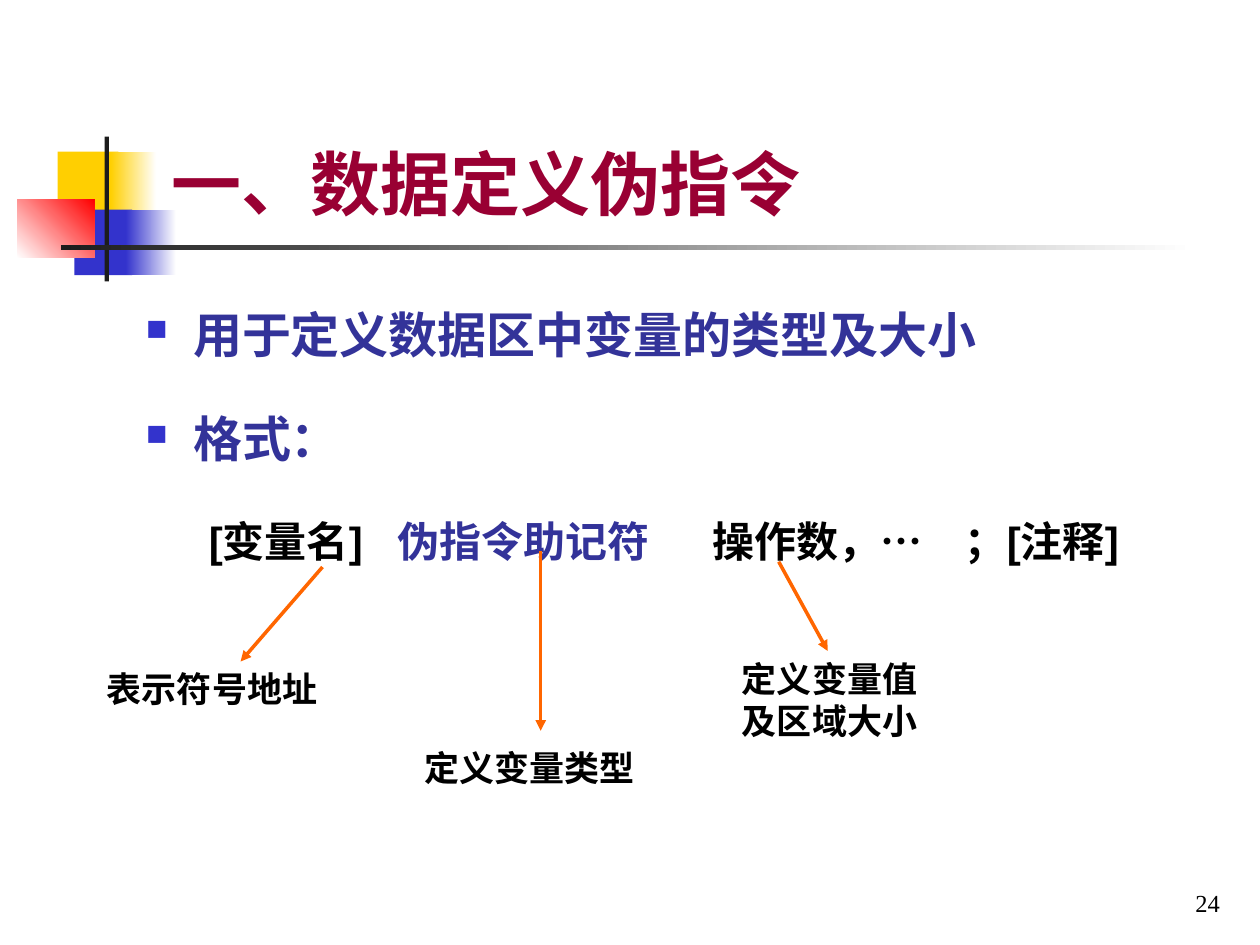
from lxml.etree import SubElement
from pptx import Presentation
from pptx.dml.color import RGBColor
from pptx.enum.shapes import MSO_CONNECTOR, MSO_SHAPE
from pptx.enum.text import MSO_ANCHOR, PP_ALIGN
from pptx.oxml.ns import qn
from pptx.util import Pt

HUES = {
    "gold": "FFCF01", "blue": "3333CC", "red": "FF0000", "dark": "1C1C1C",
    "white": "FFFFFF", "wine": "990033", "navy": "333399",
    "black": "000000", "flame": "FF6600",
}


def hue(name):
    return RGBColor.from_string(HUES[name])


def add_bar(slide, left, top, width, height, start, end=None, angle=0):
    bar = slide.shapes.add_shape(
        MSO_SHAPE.RECTANGLE, Pt(left), Pt(top), Pt(width), Pt(height))
    bar.shadow.inherit = False
    bar.line.fill.background()
    if end:
        bar.fill.gradient()
        bar.fill.gradient_angle = angle
        for stop, name in zip(bar.fill.gradient_stops, (start, end)):
            stop.color.rgb = hue(name)
    else:
        bar.fill.solid()
        bar.fill.fore_color.rgb = hue(start)


def add_box(slide, left, top, width, height, anchor=MSO_ANCHOR.TOP):
    box = slide.shapes.add_textbox(Pt(left), Pt(top), Pt(width), Pt(height))
    frame = box.text_frame
    frame.word_wrap = True
    frame.vertical_anchor = anchor
    return frame


def add_run(para, text, size, color, font="Arial", bold=True):
    run = para.add_run()
    run.text = text
    run.font.size = Pt(size)
    run.font.name = font
    run.font.bold = bold
    run.font.color.rgb = hue(color)


def add_bullet(para):
    props = para._p.get_or_add_pPr()
    props.set("marL", str(Pt(27)))
    props.set("indent", str(-Pt(27)))
    tint = SubElement(props, qn("a:buClr"))
    SubElement(tint, qn("a:srgbClr"), val=HUES["blue"])
    SubElement(props, qn("a:buSzPct"), val="60000")
    SubElement(props, qn("a:buChar"), char="■")


def add_tabs(para, stops):
    props = para._p.get_or_add_pPr()
    props.set("marL", "0")
    props.set("indent", "0")
    SubElement(props, qn("a:buNone"))
    tabs = SubElement(props, qn("a:tabLst"))
    for stop in stops:
        SubElement(tabs, qn("a:tab"), pos=str(Pt(stop)), algn="l")


def draw_motif(slide, left, top):
    parts = [
        (23, 8.6, 34.6, 37.4, "gold"),
        (53.3, 8.6, 26, 37.4, "gold", "white"),
        (32.5, 41.8, 33, 37.4, "blue"),
        (62, 41.8, 28.6, 37.4, "blue", "white"),
        (0, 36, 44, 33.4, "white", "red", 45),
        (49.8, 0, 2.5, 82.8, "dark"),
        (24.8, 62.3, 648, 2.5, "dark", "white"),
    ]
    for x, y, *rest in parts:
        add_bar(slide, left + x, top + y, *rest)


def draw_title(slide, left, top, width, height):
    frame = add_box(slide, left, top, width, height, MSO_ANCHOR.BOTTOM)
    add_run(frame.paragraphs[0], "一、数据定义伪指令", 40, "wine")


def draw_body(slide, left, top, width, height):
    frame = add_box(slide, left, top, width, height)
    use, form, code = (
        frame.paragraphs[0], frame.add_paragraph(), frame.add_paragraph())
    for para, text in (
            (use, "用于定义数据区中变量的类型及大小"), (form, "格式：")):
        add_bullet(para)
        add_run(para, text, 28, "navy")
    add_tabs(code, (53, 178, 332.5, 475))
    for text, color in (
            ("\t[变量名]\t", "black"), ("伪指令助记符", "navy"),
            ("\t操作数，…\t；[注释]", "black")):
        add_run(code, text, 24, color)
    for para, before, after in (
            (use, 0, 17.5), (form, 5.2, 1.8), (code, 22.5, 1.5)):
        para.line_spacing = 1.1
        para.space_before = Pt(before)
        para.space_after = Pt(after)


def add_label(slide, left, top, width, height, text):
    frame = add_box(slide, left, top, width, height)
    add_run(frame.paragraphs[0], text, 20, "black", "Times New Roman")


def add_arrow(slide, x1, y1, x2, y2):
    arrow = slide.shapes.add_connector(
        MSO_CONNECTOR.STRAIGHT, Pt(x1), Pt(y1), Pt(x2), Pt(y2))
    arrow.line.color.rgb = hue("flame")
    arrow.line.width = Pt(2)
    SubElement(arrow.line._ln, qn("a:tailEnd"), type="triangle")
    SubElement(arrow._element.spPr, qn("a:effectLst"))


def draw_notes(slide, left, top):
    notes = [
        ("表示符号地址", (0, 63, 143.3, 31.7), (130.3, 9, 83.5, 63)),
        ("定义变量类型", (181.4, 108, 141.8, 31.7), (255, 0, 255, 102.6)),
        ("定义变量值及区域大小", (362.9, 57, 130.3, 55.4),
         (391, 6, 419, 57)),
    ]
    for text, (x, y, width, height), (x1, y1, x2, y2) in notes:
        add_label(slide, left + x, top + y, width, height, text)
        add_arrow(slide, left + x1, top + y1, left + x2, top + y2)


def draw_page(slide, left, top, width, height):
    frame = add_box(slide, left, top, width, height, MSO_ANCHOR.BOTTOM)
    para = frame.paragraphs[0]
    para.alignment = PP_ALIGN.RIGHT
    add_run(para, "24", 14, "black", "Times New Roman", False)


def main():
    deck = Presentation()
    deck.slide_width, deck.slide_height = Pt(720), Pt(540)
    slide = deck.slides.add_slide(deck.slide_layouts[6])
    draw_motif(slide, 10, 78)
    draw_title(slide, 90.7, 16.6, 478.8, 115.2)
    draw_body(slide, 76.3, 167, 612, 165)
    draw_notes(slide, 54, 315)
    draw_page(slide, 554.4, 491.8, 149.8, 36)
    deck.save("out.pptx")


if __name__ == "__main__":
    main()
